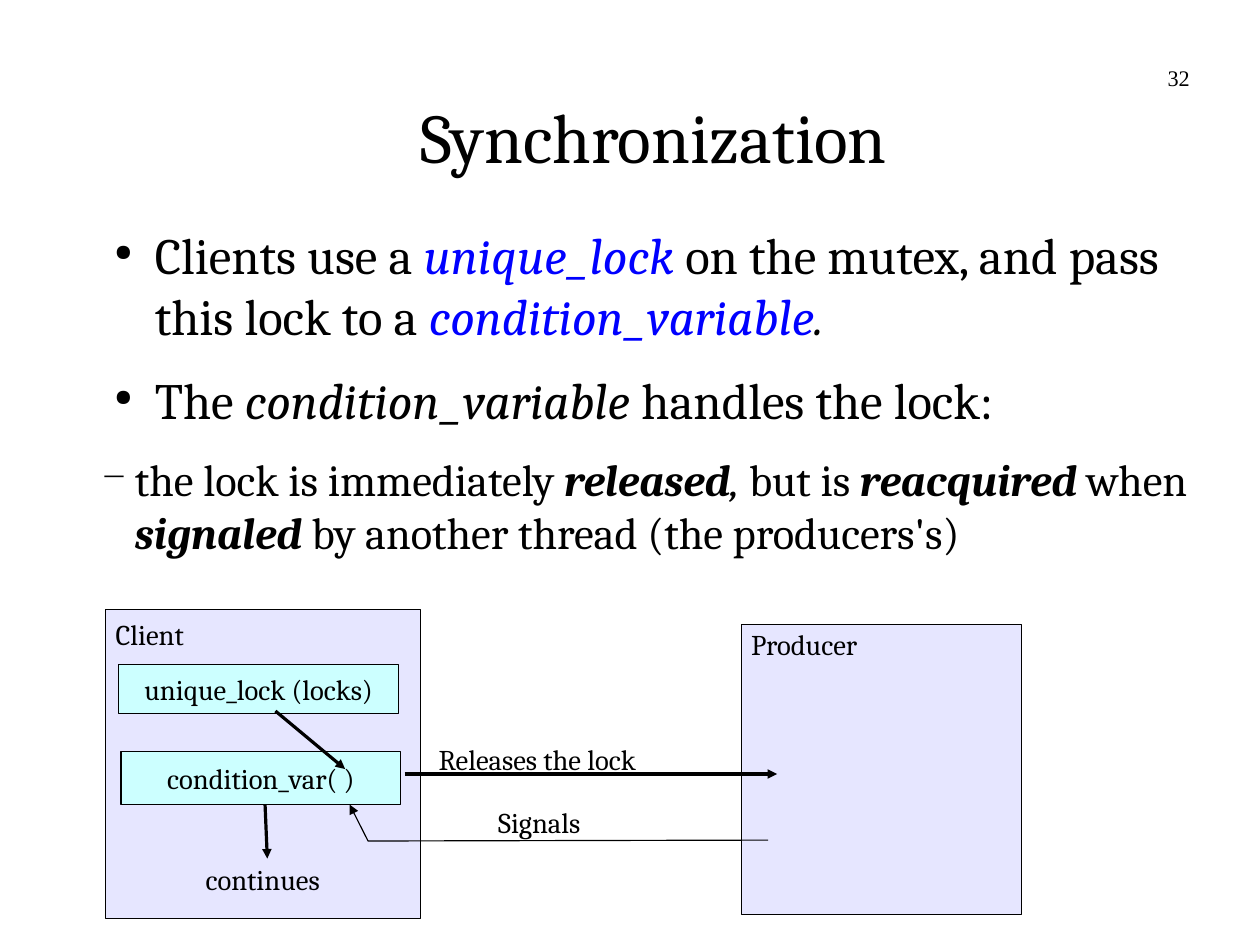
"""Build the slide on lock handling between a client and a producer."""
from dataclasses import dataclass

from lxml.etree import SubElement
from pptx import Presentation
from pptx.dml.color import RGBColor
from pptx.enum.shapes import MSO_CONNECTOR, MSO_SHAPE
from pptx.enum.text import MSO_ANCHOR, PP_ALIGN
from pptx.oxml.ns import qn
from pptx.util import Cm, Pt

BLACK, BLUE, LAVENDER, CYAN = "000000", "0000FF", "E6E6FF", "CCFFFF"
SERIF = "Cambria"


@dataclass
class Box:
    left: float
    top: float
    width: float
    height: float
    fill: str
    text: str = ""


@dataclass
class Label:
    text: str
    left: float
    top: float
    width: float
    height: float = 0.86


@dataclass
class Arrow:
    start: tuple[float, float]
    end: tuple[float, float]


@dataclass
class Span:
    text: str
    color: str = BLACK
    bold: bool = False
    italic: bool = False


@dataclass
class Bullet:
    spans: list[Span]
    size: int
    space_after: float
    margin: float
    hanging: float
    character: str
    percent: int
    level: int = 0


BOXES = [
    Box(2.34, 13.54, 7.01, 6.88, LAVENDER),
    Box(2.64, 14.76, 6.22, 1.09, CYAN, "unique_lock (locks)"),
    Box(2.69, 16.71, 6.22, 1.17, CYAN, "condition_var( )"),
    Box(16.48, 13.87, 6.22, 6.45, LAVENDER),
]
LABELS = [
    Label("Client", 2.57, 13.72, 1.85),
    Label("Releases the lock", 9.75, 16.48, 5.56),
    Label("Producer", 16.69, 13.94, 2.84),
    Label("Signals", 11.07, 17.88, 2.82, 1.47),
    Label("continues", 4.57, 19.15, 3.1),
]
ARROWS = [
    Arrow((6.12, 15.8), (7.67, 17.09)),
    Arrow((8.99, 17.2), (17.27, 17.2)),
    Arrow((5.89, 17.88), (5.94, 19.08)),
]
SIGNAL_POINTS = [(17.07, 18.67), (8.18, 18.69), (7.77, 17.88)]
BULLETS = [
    Bullet([
        Span("Clients use a "),
        Span("unique_lock ", BLUE, italic=True),
        Span("on the mutex, and pass this lock to a "),
        Span("condition_variable", BLUE, italic=True),
        Span(".", italic=True),
    ], 32, 14.2, 1.2, 0.9, "●", 45),
    Bullet([
        Span("The "),
        Span("condition_variable ", italic=True),
        Span("handles the lock:"),
    ], 32, 14.2, 1.2, 0.9, "●", 45),
    Bullet([
        Span("the lock is immediately "),
        Span("released", bold=True, italic=True),
        Span(", ", italic=True),
        Span("but is "),
        Span("reacquired ", bold=True, italic=True),
        Span("when "),
        Span("signaled ", bold=True, italic=True),
        Span("by another thread (the producers's)"),
    ], 28, 11.3, 0.76, 0.76, "−", 75, level=1),
]


def rgb(color: str) -> RGBColor:
    return RGBColor.from_string(color)


def add_run(paragraph, text: str, *, size: float = 18, font: str = SERIF,
            color: str = BLACK, bold: bool = False, italic: bool = False) -> None:
    run = paragraph.add_run()
    run.text = text
    run.font.name, run.font.size = font, Pt(size)
    run.font.bold, run.font.italic = bold, italic
    run.font.color.rgb = rgb(color)


def prepare_frame(shape, anchor=MSO_ANCHOR.TOP):
    frame = shape.text_frame
    frame.word_wrap, frame.vertical_anchor = True, anchor
    frame.margin_left = frame.margin_right = frame.margin_top = frame.margin_bottom = 0
    return frame


def add_text(slide, label: Label, *, align=PP_ALIGN.LEFT, anchor=MSO_ANCHOR.TOP,
             margin: float = 0, **font_format) -> None:
    shape = slide.shapes.add_textbox(
        Cm(label.left), Cm(label.top), Cm(label.width), Cm(label.height))
    frame = prepare_frame(shape, anchor)
    frame.margin_left = Cm(margin)
    paragraph = frame.paragraphs[0]
    paragraph.alignment = align
    add_run(paragraph, label.text, **font_format)


def add_bullets(slide, bullets: list[Bullet]) -> None:
    shape = slide.shapes.add_textbox(Cm(2.24), Cm(4.98), Cm(25), Cm(12.17))
    frame = prepare_frame(shape)
    for index, bullet in enumerate(bullets):
        paragraph = frame.add_paragraph() if index else frame.paragraphs[0]
        paragraph.level = bullet.level
        properties = paragraph._p.get_or_add_pPr()
        properties.set("marL", str(Cm(bullet.margin)))
        properties.set("indent", str(-Cm(bullet.hanging)))
        bullet_color = SubElement(properties, qn("a:buClr"))
        SubElement(bullet_color, qn("a:srgbClr"), val=BLACK)
        SubElement(properties, qn("a:buSzPct"), val=str(bullet.percent * 1000))
        SubElement(properties, qn("a:buChar"), char=bullet.character)
        paragraph.space_after = Pt(bullet.space_after)
        for span in bullet.spans:
            add_run(paragraph, span.text, size=bullet.size, color=span.color,
                    bold=span.bold, italic=span.italic)


def style_line(shape, arrow: bool = False) -> None:
    shape.line.color.rgb = rgb(BLACK)
    shape.line.width = 0
    if arrow:
        SubElement(shape.line._get_or_add_ln(), qn("a:tailEnd"), type="triangle")


def add_box(slide, box: Box) -> None:
    shape = slide.shapes.add_shape(
        MSO_SHAPE.RECTANGLE, Cm(box.left), Cm(box.top), Cm(box.width), Cm(box.height))
    shape.shadow.inherit = False
    shape.fill.solid()
    shape.fill.fore_color.rgb = rgb(box.fill)
    style_line(shape)
    if box.text:
        paragraph = prepare_frame(shape, MSO_ANCHOR.MIDDLE).paragraphs[0]
        paragraph.alignment = PP_ALIGN.CENTER
        add_run(paragraph, box.text)


def add_arrow(slide, arrow: Arrow) -> None:
    connector = slide.shapes.add_connector(
        MSO_CONNECTOR.STRAIGHT, *map(Cm, arrow.start + arrow.end))
    style_line(connector, arrow=True)
    SubElement(connector._element.spPr, qn("a:effectLst"))


def add_signal_path(slide, points: list[tuple[float, float]]) -> None:
    start, *others = [(Cm(x), Cm(y)) for x, y in points]
    builder = slide.shapes.build_freeform(*start)
    builder.add_line_segments(others, close=False)
    shape = builder.convert_to_shape()
    shape.shadow.inherit = False
    shape.fill.background()
    style_line(shape, arrow=True)


def main() -> None:
    presentation = Presentation()
    presentation.slide_width, presentation.slide_height = Cm(28), Cm(21)
    slide = presentation.slides.add_slide(presentation.slide_layouts[6])
    add_text(slide, Label("Synchronization", 2.08, 1.24, 23.9, 3.56), size=44,
             align=PP_ALIGN.CENTER, anchor=MSO_ANCHOR.MIDDLE, margin=1)
    add_bullets(slide, BULLETS)
    for box in BOXES:
        add_box(slide, box)
    for arrow in ARROWS:
        add_arrow(slide, arrow)
    add_signal_path(slide, SIGNAL_POINTS)
    for label in LABELS:
        add_text(slide, label)
    add_text(slide, Label("32", 19.91, 1.42, 6.53, 1.45), size=14,
             font="Times New Roman", align=PP_ALIGN.RIGHT)
    presentation.save("out.pptx")


if __name__ == "__main__":
    main()
